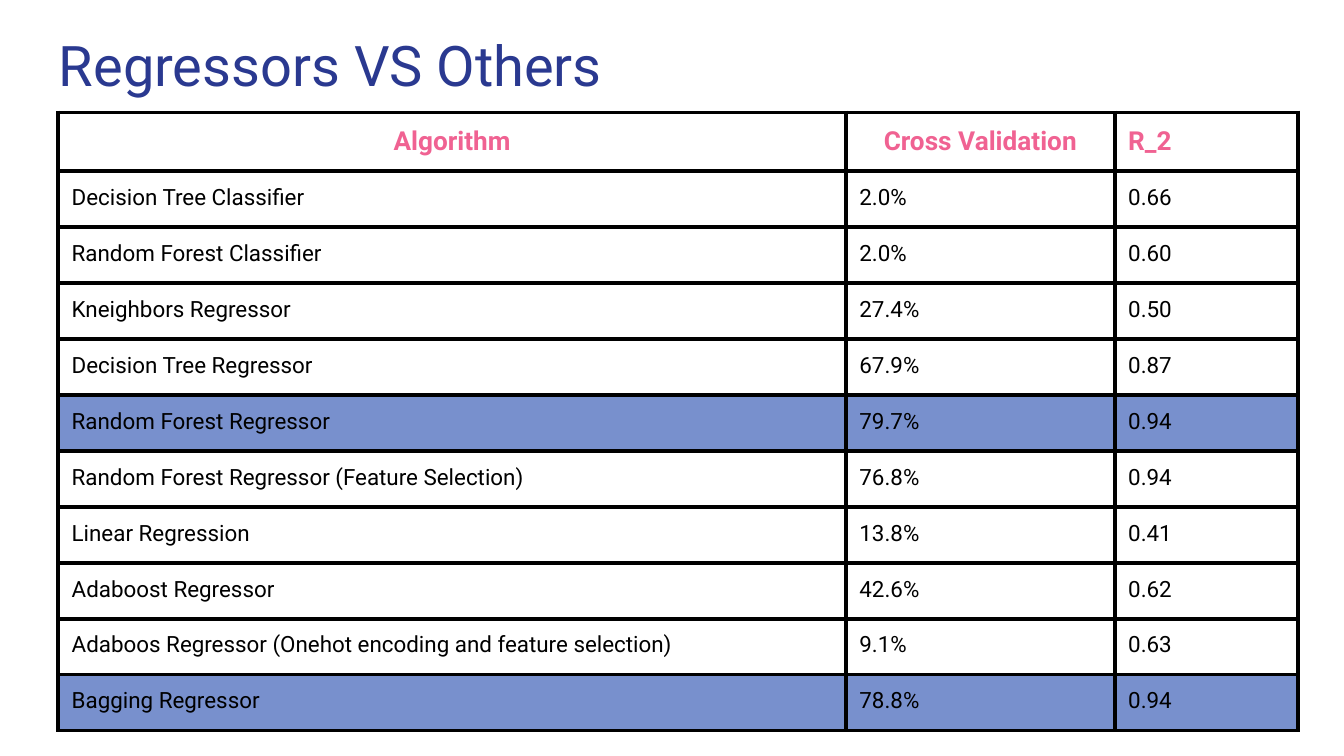
from dataclasses import dataclass

from lxml import etree
from pptx import Presentation
from pptx.dml.color import RGBColor
from pptx.enum import text
from pptx.oxml import ns
from pptx.util import Pt


@dataclass(frozen=True)
class Theme:
    font: str = "Roboto"
    title_color: str = "2A3990"
    header_color: str = "F06292"
    body_color: str = "000000"
    border_color: str = "000000"
    highlight: str = "7890CD"
    title_size: float = 30
    header_size: float = 14
    body_size: float = 12
    border_width: float = 2.25
    inset: float = 7.2


def write(frame, words, *, font, size, color, bold=False, align=text.PP_ALIGN.LEFT):
    """Put one formatted paragraph into a text frame."""
    para = frame.paragraphs[0]
    para.alignment = align
    span = para.add_run()
    span.text = words
    span.font.name = font
    span.font.size = Pt(size)
    span.font.bold = bold
    span.font.color.rgb = RGBColor.from_string(color)


class PageBuilder:
    def __init__(self, page, theme):
        self.page = page
        self.theme = theme

    def title(self, words, left, top, width, height):
        theme = self.theme
        box = self.page.shapes.add_textbox(Pt(left), Pt(top), Pt(width), Pt(height))
        frame = box.text_frame
        frame.word_wrap = True
        frame.margin_left = frame.margin_right = frame.margin_bottom = Pt(theme.inset)
        frame.margin_top = Pt(9)
        write(frame, words, font=theme.font, size=theme.title_size,
              color=theme.title_color)

    def borders(self, cell):
        properties = cell._tc.get_or_add_tcPr()
        for side in ("lnL", "lnR", "lnT", "lnB"):
            line = etree.SubElement(properties, ns.qn(f"a:{side}"),
                                    w=str(Pt(self.theme.border_width)))
            fill = etree.SubElement(line, ns.qn("a:solidFill"))
            etree.SubElement(fill, ns.qn("a:srgbClr"), val=self.theme.border_color)

    def cell(self, cell, words, *, fill=None, **style):
        cell.margin_left = cell.margin_right = Pt(self.theme.inset)
        cell.margin_top = cell.margin_bottom = Pt(self.theme.inset)
        self.borders(cell)
        if fill:
            cell.fill.solid()
            cell.fill.fore_color.rgb = RGBColor.from_string(fill)
        else:
            cell.fill.background()
        write(cell.text_frame, words, font=self.theme.font, **style)

    def table(self, header, rows, highlighted, left, top, widths, row_height):
        theme = self.theme
        count = len(rows) + 1
        table = self.page.shapes.add_table(
            count, len(widths), Pt(left), Pt(top),
            Pt(sum(widths)), Pt(row_height * count)).table
        table.first_row = table.horz_banding = False
        for column, width in zip(table.columns, widths):
            column.width = Pt(width)

        # Header row
        for cell, (words, align) in zip(table.rows[0].cells, header):
            self.cell(cell, words, size=theme.header_size, bold=True,
                      color=theme.header_color, align=align)

        # Score rows
        for number, values in enumerate(rows, start=1):
            fill = theme.highlight if values[0] in highlighted else None
            for cell, words in zip(table.rows[number].cells, values):
                self.cell(cell, words, fill=fill, size=theme.body_size,
                          color=theme.body_color)


HEADER = [
    ("Algorithm", text.PP_ALIGN.CENTER),
    ("Cross Validation", text.PP_ALIGN.CENTER),
    ("R_2", text.PP_ALIGN.LEFT),
]
SCORES = [
    ("Decision Tree Classifier", "2.0%", "0.66"),
    ("Random Forest Classifier", "2.0%", "0.60"),
    ("Kneighbors Regressor", "27.4%", "0.50"),
    ("Decision Tree Regressor", "67.9%", "0.87"),
    ("Random Forest Regressor", "79.7%", "0.94"),
    ("Random Forest Regressor (Feature Selection)", "76.8%", "0.94"),
    ("Linear Regression", "13.8%", "0.41"),
    ("Adaboost Regressor", "42.6%", "0.62"),
    ("Adaboos Regressor (Onehot encoding and feature selection)", "9.1%", "0.63"),
    ("Bagging Regressor", "78.8%", "0.94"),
]
BEST = {"Random Forest Regressor", "Bagging Regressor"}


def main():
    deck = Presentation()
    deck.slide_width, deck.slide_height = Pt(720), Pt(405)
    page = deck.slides.add_slide(deck.slide_layouts[6])
    builder = PageBuilder(page, Theme())

    # Title
    builder.title("Regressors VS Others", 24.5, 7.2, 671, 47.5)

    # Comparison table
    builder.table(HEADER, SCORES, BEST, left=31.2, top=60.3,
                  widths=(422, 144, 98), row_height=30)

    deck.save("out.pptx")


if __name__ == "__main__":
    main()
